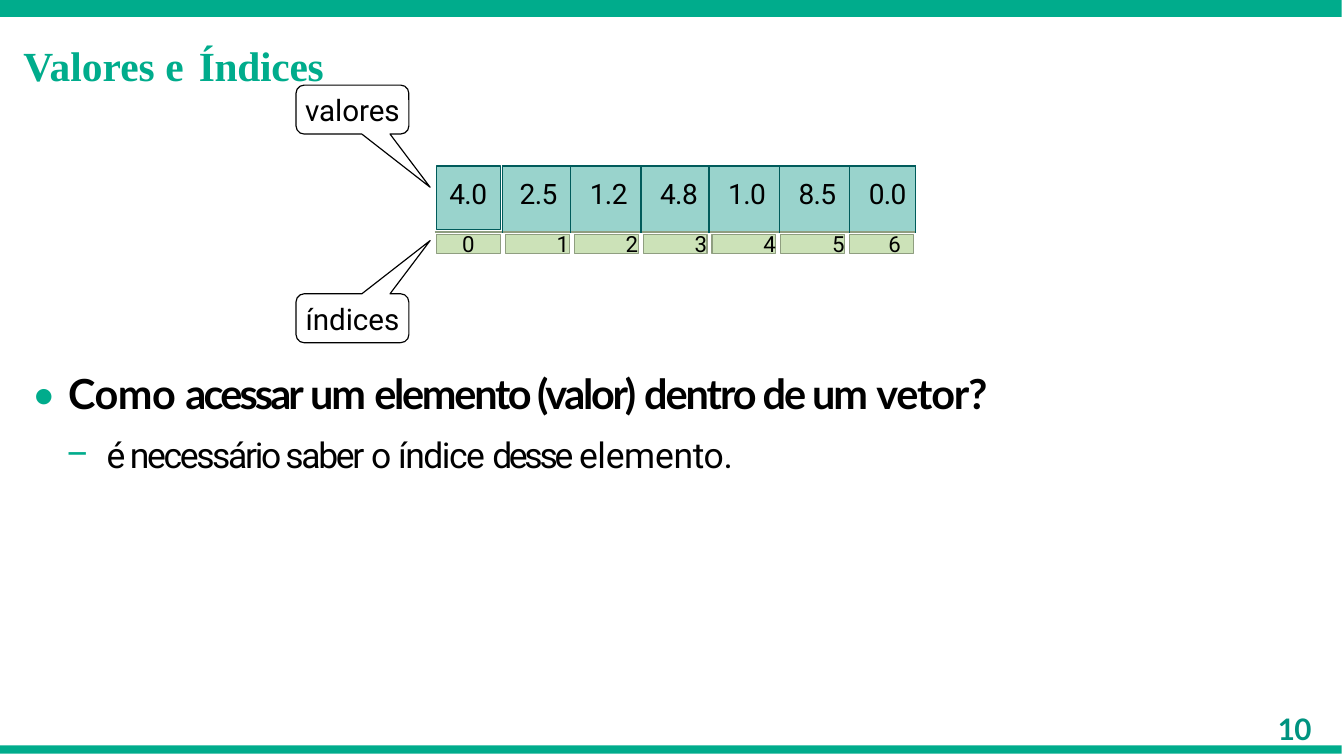
from dataclasses import dataclass

from lxml import etree
from pptx import Presentation
from pptx import util as u
from pptx.dml.color import RGBColor
from pptx.enum import shapes, text
from pptx.oxml.ns import qn

COLORS = {
    "brand": "00AC8C", "page": "009380", "ink": "000000", "paper": "FFFFFF",
    "value": "99D3CC", "value_line": "005B5B",
    "index": "CCE2B8", "index_line": "8F9E80",
}
LEFT, CENTER, RIGHT = text.PP_ALIGN.LEFT, text.PP_ALIGN.CENTER, text.PP_ALIGN.RIGHT
RECTANGLE = shapes.MSO_SHAPE.RECTANGLE
VALUES = ["4.0", "2.5", "1.2", "4.8", "1.0", "8.5", "0.0"]
VALUE_WIDTHS = [0.32, 0.32, 0.33, 0.32, 0.33, 0.33, 0.31]
VALUE_INSETS = [0.07, 0.08] + [0.09] * 5
INDEX_LEFT, INDEX_RIGHT, INDEX_WIDTH = 2.05, 4.29, 0.3


@dataclass
class Box:
    left: float
    top: float
    width: float
    height: float

    def lengths(self) -> list:
        return [u.Inches(v) for v in (self.left, self.top, self.width, self.height)]


@dataclass
class Callout:
    label: str
    box: Box
    tip_x: float
    tip_y: float


@dataclass
class Bullet:
    char: str
    font: str
    size: float
    bold: bool
    margin: float
    hanging: float
    before: float
    runs: list


CALLOUTS = [
    Callout("valores", Box(1.39, 0.4, 0.53, 0.23), 2.02, 0.88),
    Callout("índices", Box(1.39, 1.38, 0.53, 0.23), 2.02, 1.13),
]
BULLETS = [
    Bullet("•", "Lato", 14, True, 0.18, 0.17, 0, [
        ("Como ", -0.2), ("acessar ", -1), ("um ", -0.7),
        ("elemento (valor) ", -0.8), ("dentro de um ", -0.7), ("vetor?", -0.4)]),
    Bullet("–", "Roboto", 12, False, 0.36, 0.19, 5, [
        ("é ", -1.4), ("necessário saber ", -0.8), ("o ", -0.7),
        ("índice ", -0.5), ("desse ", -1.1), ("elemento.", -0.1)]),
]


def rgb(name: str) -> RGBColor:
    return RGBColor.from_string(COLORS[name])


def write_text(paragraph, content: str, *, font: str = "Roboto", size: float = 10,
               color: str = "ink", bold: bool = False, spacing: float = 0,
               align=LEFT) -> None:
    """Append a run; spacing is the gap between letters in points."""
    paragraph.alignment = align
    run = paragraph.add_run()
    run.text = content
    run.font.name, run.font.size, run.font.bold = font, u.Pt(size), bold
    run.font.color.rgb = rgb(color)
    run.font._element.set("spc", str(round(spacing * 100)))


def set_frame(frame, *, left: float = 0, top: float = 0, right: float = 0,
              anchor=text.MSO_ANCHOR.TOP, wrap: bool = True) -> None:
    frame.margin_left, frame.margin_top = u.Inches(left), u.Inches(top)
    frame.margin_right, frame.margin_bottom = u.Inches(right), 0
    frame.vertical_anchor, frame.word_wrap = anchor, wrap
    frame.auto_size = text.MSO_AUTO_SIZE.NONE


def add_box(slide, box: Box, fill: str, line: str = "", kind=RECTANGLE):
    shape = slide.shapes.add_shape(kind, *box.lengths())
    shape.shadow.inherit = False
    shape.fill.solid()
    shape.fill.fore_color.rgb = rgb(fill)
    if line:
        shape.line.color.rgb = rgb(line)
        shape.line.width = u.Pt(0.4)
    else:
        shape.line.fill.background()
    return shape


def place(placeholder, box: Box) -> None:
    (placeholder.left, placeholder.top,
     placeholder.width, placeholder.height) = box.lengths()


def add_callout(slide, callout: Callout) -> None:
    box = callout.box
    bubble = add_box(slide, box, "paper", "ink",
                     shapes.MSO_SHAPE.ROUNDED_RECTANGULAR_CALLOUT)
    bubble.adjustments[0] = (callout.tip_x - box.left) / box.width - 0.5
    bubble.adjustments[1] = (callout.tip_y - box.top) / box.height - 0.5
    set_frame(bubble.text_frame, anchor=text.MSO_ANCHOR.MIDDLE, wrap=False)
    write_text(bubble.text_frame.paragraphs[0], callout.label, align=CENTER)


def set_borders(cell, sides: dict[str, str]) -> None:
    """Draw the named sides (L, R, T, B) and hide the others."""
    properties = cell._tc.get_or_add_tcPr()
    for side in "LRTB":
        line = etree.SubElement(properties, qn(f"a:ln{side}"), w=str(u.Pt(0.5)))
        if side in sides:
            fill = etree.SubElement(line, qn("a:solidFill"))
            etree.SubElement(fill, qn("a:srgbClr"), val=COLORS[sides[side]])
        else:
            etree.SubElement(line, qn("a:noFill"))


def add_values(slide) -> None:
    add_box(slide, Box(2.05, 0.78, 0.3, 0.3), "value", "value_line")
    area = Box(2.04, 0.78, sum(VALUE_WIDTHS), 0.31)
    table = slide.shapes.add_table(1, len(VALUES), *area.lengths()).table
    table.first_row = table.horz_banding = False
    for column, (value, width, inset) in enumerate(
            zip(VALUES, VALUE_WIDTHS, VALUE_INSETS)):
        table.columns[column].width = u.Inches(width)
        cell = table.cell(0, column)
        cell.margin_left, cell.margin_top = u.Inches(inset), u.Inches(0.06)
        cell.margin_right = cell.margin_bottom = 0
        sides = {"R": "value_line", "B": "index_line"}
        if column:
            sides |= {"L": "value_line", "T": "value_line"}
        set_borders(cell, sides)
        if column:
            cell.fill.solid()
            cell.fill.fore_color.rgb = rgb("value")
        else:
            cell.fill.background()
        paragraph = cell.text_frame.paragraphs[0]
        paragraph.space_before = u.Pt(4.2)
        write_text(paragraph, value, size=9.5, spacing=-0.2)


def add_indices(slide) -> None:
    last = len(VALUES) - 1
    pitch = (INDEX_RIGHT - INDEX_WIDTH - INDEX_LEFT) / last
    for index in range(len(VALUES)):
        box = Box(INDEX_LEFT + index * pitch, 1.1, INDEX_WIDTH, 0.09)
        frame = add_box(slide, box, "index", "index_line").text_frame
        set_frame(frame, right=0.06 if index == last else 0,
                  anchor=text.MSO_ANCHOR.MIDDLE)
        write_text(frame.paragraphs[0], str(index), size=7.5,
                   align=RIGHT if index else CENTER)


def add_bullet(paragraph, bullet: Bullet) -> None:
    paragraph.space_before = u.Pt(bullet.before)
    for content, spacing in bullet.runs:
        write_text(paragraph, content, font=bullet.font, size=bullet.size,
                   bold=bullet.bold, spacing=spacing)
    properties = paragraph._p.get_or_add_pPr()
    properties.set("marL", str(u.Inches(bullet.margin)))
    properties.set("indent", str(-u.Inches(bullet.hanging)))
    color = etree.SubElement(properties, qn("a:buClr"))
    etree.SubElement(color, qn("a:srgbClr"), val=COLORS["brand"])
    etree.SubElement(properties, qn("a:buFont"), typeface=bullet.font)
    etree.SubElement(properties, qn("a:buChar"), char=bullet.char)


def main() -> None:
    deck = Presentation()
    deck.slide_width, deck.slide_height = u.Inches(6.31), u.Inches(3.55)
    slide = deck.slides.add_slide(deck.slide_layouts[1])
    title, body = slide.placeholders

    for bar in (Box(0, 0, 6.3, 0.08), Box(0, 3.5, 6.3, 0.04)):
        add_box(slide, bar, "brand")

    place(title, Box(0.1, 0.15, 1.76, 0.3))
    set_frame(title.text_frame, left=0.01, top=0.04)
    for word, spacing in (("Valores ", 0), ("e ", 0.8), ("Índices", -0.1)):
        write_text(title.text_frame.paragraphs[0], word, font="Times New Roman",
                   size=14, color="brand", bold=True, spacing=spacing)

    add_values(slide)
    add_indices(slide)
    for callout in CALLOUTS:
        add_callout(slide, callout)

    place(body, Box(0.14, 1.73, 5.22, 0.55))
    set_frame(body.text_frame)
    for level, bullet in enumerate(BULLETS):
        paragraph = (body.text_frame.add_paragraph() if level
                     else body.text_frame.paragraphs[0])
        paragraph.level = level
        add_bullet(paragraph, bullet)

    page = slide.shapes.add_textbox(*Box(5.96, 3.31, 0.24, 0.21).lengths())
    set_frame(page.text_frame, left=0.04, top=0.03)
    write_text(page.text_frame.paragraphs[0], "10", font="Lato", color="page",
               bold=True, spacing=-0.2)

    deck.save("out.pptx")


if __name__ == "__main__":
    main()
